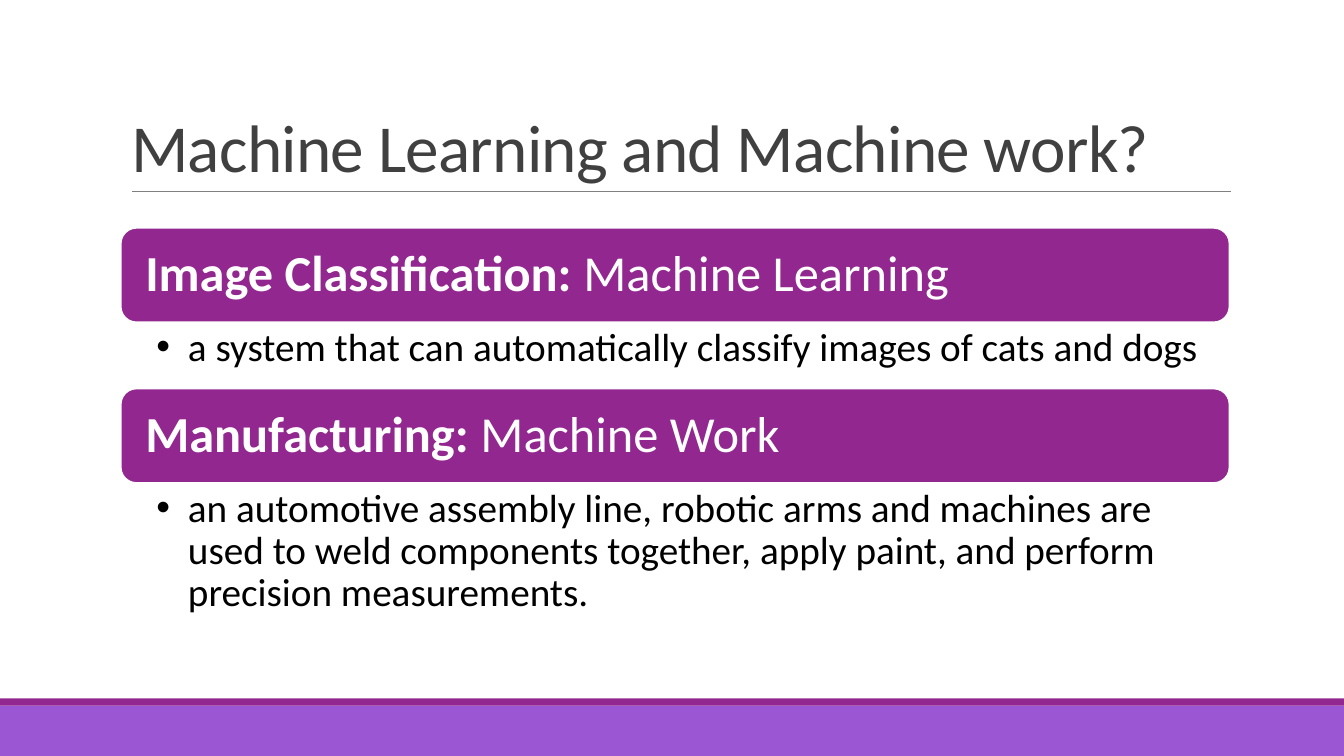
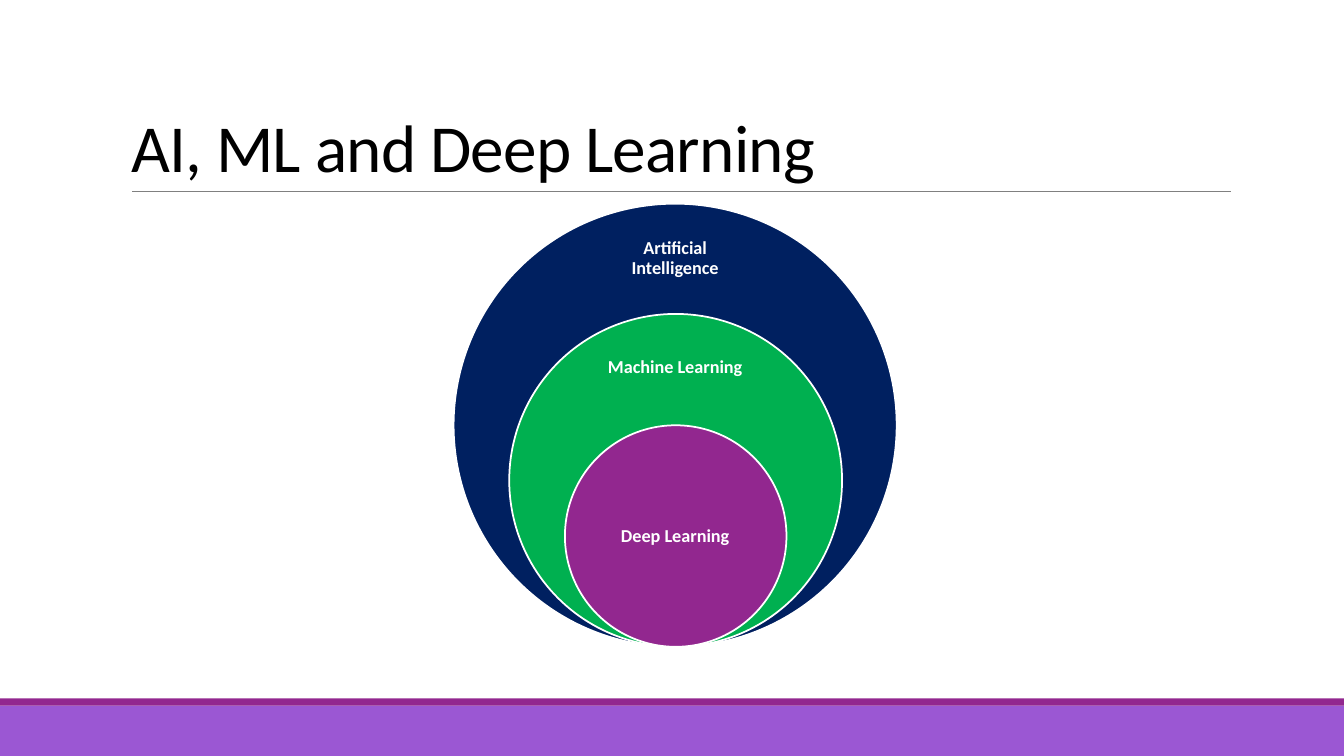
from lxml import etree
from pptx import Presentation, util as u
from pptx.dml.color import RGBColor
from pptx.enum import shapes as sh, text as tx
from pptx.oxml.ns import qn

PX = 9525  # 96 px to the inch
FONT = "Calibri"
PURPLE, LILAC, WHITE, BLACK = "92278F", "9B57D3", "FFFFFF", "000000"
LEFT, WIDE = 115, 1056


def draw(slide, kind, box, fill, edge=None):
    s = slide.shapes.add_shape(kind, *[v * PX for v in box])
    s.shadow.inherit = False
    s.fill.solid()
    s.fill.fore_color.rgb = RGBColor.from_string(fill)
    if edge:
        s.line.color.rgb = RGBColor.from_string(edge)
        s.line.width = u.Pt(1.25)
    else:
        s.line.fill.background()
    return s


def write(s, runs, size, hue, lead, pad, anchor, align=tx.PP_ALIGN.LEFT):
    """Fill a shape with one paragraph of (words, bold) runs."""
    f = s.text_frame
    f.word_wrap = True
    f.auto_size = tx.MSO_AUTO_SIZE.NONE
    f.vertical_anchor = anchor
    f.margin_left, f.margin_top, f.margin_right, f.margin_bottom = [v * PX for v in pad]
    p = f.paragraphs[0]
    p.alignment = align
    p.line_spacing = lead
    p.space_before = u.Pt(0)
    for words, bold in runs:
        r = p.add_run()
        r.text = words
        r.font.name = FONT
        r.font.size = u.Pt(size)
        r.font.bold = bold
        r.font.color.rgb = RGBColor.from_string(hue)
    return p


prs = Presentation()
prs.slide_width, prs.slide_height = 1280 * PX, 720 * PX
work = prs.slides.add_slide(prs.slide_layouts[3])
nest = prs.slides.add_slide(prs.slide_layouts[5])

# Bands and title rule, moved to the master
rect = sh.MSO_SHAPE.RECTANGLE
base = draw(work, rect, (0, 672, 1280, 48), LILAC)
strip = draw(work, rect, (0, 665, 1280, 7), PURPLE)
rule = work.shapes.add_connector(
    sh.MSO_CONNECTOR.STRAIGHT, 126 * PX, 182 * PX, 1172 * PX, 182 * PX)
rule.line.color.rgb = RGBColor.from_string("808080")
rule.line.width = u.Pt(0.5)
etree.SubElement(rule.element.spPr, qn("a:effectLst"))
for i, s in enumerate((base, strip, rule)):
    prs.slide_master.shapes.element.insert(2 + i, s.element)

# Titles
for slide, words, hue, wide in (
    (work, "Machine Learning and Machine work?", "404040", WIDE),
    (nest, "AI, ML and Deep Learning", BLACK, 1148),
):
    t = slide.shapes.title
    t.left, t.top, t.width, t.height = [v * PX for v in (LEFT, 30, wide, 152)]
    p = write(t, [(words, False)], 48, hue, 0.85, (10, 5, 10, 5), tx.MSO_ANCHOR.BOTTOM)
    for r in p.runs:
        r._r.get_or_add_rPr().set("spc", "-50")

# Slide 1: headings, each with a bullet below
HEAD = 90
topics = (
    (217, 62, "Image Classification: ", "Machine Learning",
     "a system that can automatically classify images of cats and dogs"),
    (370, 134, "Manufacturing: ", "Machine Work",
     "an automotive assembly line, robotic arms and machines are used to weld "
     "components together, apply paint, and perform precision measurements."),
)
for i, (top, tall, name, kind, note) in enumerate(topics):
    bar = draw(work, sh.MSO_SHAPE.ROUNDED_RECTANGLE, (LEFT, top, WIDE, HEAD), PURPLE, WHITE)
    write(bar, [(name, True), (kind, False)], 36, WHITE, 0.9,
          (19, 14, 19, 14), tx.MSO_ANCHOR.MIDDLE)
    body = work.placeholders[1 + i]
    body.left, body.top, body.width, body.height = [
        v * PX for v in (LEFT, top + HEAD, WIDE, tall)]
    p = write(body, [(note, False)], 28, BLACK, 0.9, (34, 5, 27, 5), tx.MSO_ANCHOR.TOP)
    pr = p._p.get_or_add_pPr()
    pr.set("marL", str(30 * PX))
    pr.set("indent", str(-30 * PX))
    etree.SubElement(pr, qn("a:buFont")).set("typeface", "Arial")
    etree.SubElement(pr, qn("a:buChar")).set("char", "•")

# Slide 2: nested circles that share their lowest point
MID, LOW, LABEL = 643, 616, 148
for size, hue, words, top, tall in (
    (422, "002060", "Artificial Intelligence", 215, 63),
    (317, "00B050", "Machine Learning", 320, 60),
    (211, PURPLE, "Deep Learning", 458, 106),
):
    draw(nest, sh.MSO_SHAPE.OVAL, (MID - size // 2, LOW - size, size, size), hue, WHITE)
    tag = nest.shapes.add_textbox(
        *[v * PX for v in (MID - LABEL // 2, top, LABEL, tall)])
    write(tag, [(words, True)], 13, WHITE, 0.9, (10, 10, 10, 10),
          tx.MSO_ANCHOR.MIDDLE, tx.PP_ALIGN.CENTER)

prs.save("out.pptx")
